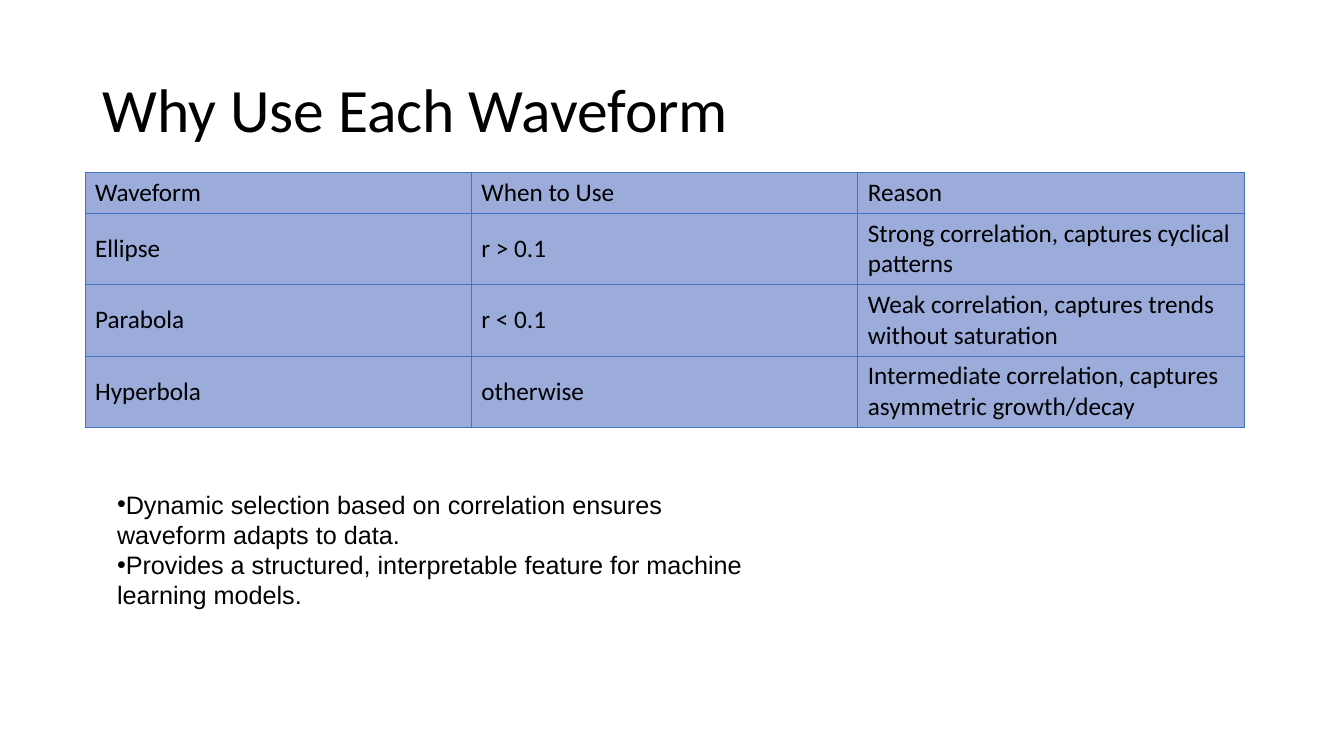
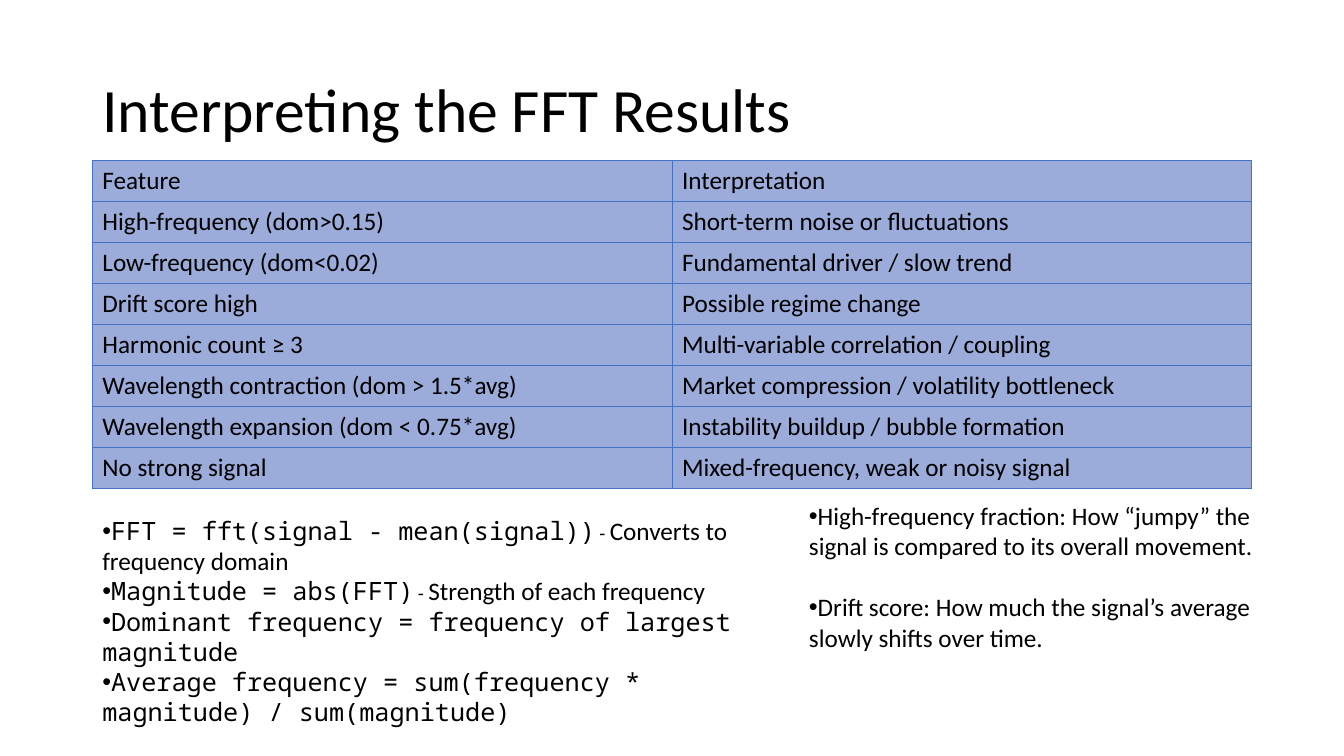
from lxml import etree
from pptx import Presentation
from pptx.dml.color import RGBColor
from pptx.enum.text import MSO_ANCHOR
from pptx.oxml.ns import qn
from pptx.util import Pt

PX = 9525  # EMU, 96 px to the inch
SLIDE_WIDTH, SLIDE_HEIGHT = 1280, 720
MIDDLE, TOP = MSO_ANCHOR.MIDDLE, MSO_ANCHOR.TOP

BLACK = RGBColor(0x00, 0x00, 0x00)
CELL_FILL = RGBColor(0x9B, 0xAB, 0xDA)
BORDER = RGBColor(0x44, 0x72, 0xC4)

SANS, ARIAL, MONO = "Calibri", "Arial", "Noto Sans Mono"
TITLE_SIZE, BODY_SIZE, DASH_SIZE = 44, 18, 14
LEFT, CONTENT_WIDTH = 88, 1104
ROW, TALL_ROW = 39, 68

WAVEFORMS = [
    ("Waveform", "When to Use", "Reason"),
    ("Ellipse", "r > 0.1", "Strong correlation, captures cyclical patterns"),
    ("Parabola", "r < 0.1", "Weak correlation, captures trends without saturation"),
    ("Hyperbola", "otherwise",
     "Intermediate correlation, captures asymmetric growth/decay"),
]
FEATURES = [
    ("Feature", "Interpretation"),
    ("High-frequency (dom>0.15)", "Short-term noise or fluctuations"),
    ("Low-frequency (dom<0.02)", "Fundamental driver / slow trend"),
    ("Drift score high", "Possible regime change"),
    ("Harmonic count ≥ 3", "Multi-variable correlation / coupling"),
    ("Wavelength contraction (dom > 1.5*avg)",
     "Market compression / volatility bottleneck"),
    ("Wavelength expansion (dom < 0.75*avg)",
     "Instability buildup / bubble formation"),
    ("No strong signal", "Mixed-frequency, weak or noisy signal"),
]
SELECTION_NOTES = [
    [("Dynamic selection based on correlation ensures waveform adapts to data.",
      ARIAL, BODY_SIZE)],
    [("Provides a structured, interpretable feature for machine learning models.",
      ARIAL, BODY_SIZE)],
]
DASH = (" - ", SANS, DASH_SIZE)
FORMULAS = [
    [("FFT = fft(signal - mean(signal))", MONO, BODY_SIZE), DASH,
     ("Converts to frequency domain", SANS, BODY_SIZE)],
    [("Magnitude = abs(FFT)", MONO, BODY_SIZE), DASH,
     ("Strength of each frequency", SANS, BODY_SIZE)],
    [("Dominant frequency = frequency of largest magnitude", MONO, BODY_SIZE)],
    [("Average frequency = sum(frequency * magnitude) / sum(magnitude)",
      MONO, BODY_SIZE)],
]
SCORE_NOTES = [
    [("High-frequency fraction: How “jumpy” the signal is compared to its "
      "overall movement.", SANS, BODY_SIZE)],
    [("Drift score: How much the signal’s average slowly shifts over time.",
      SANS, BODY_SIZE)],
]


def add_span(para, text, font, size):
    span = para.add_run()
    span.text = text
    span.font.name = font
    span.font.size = Pt(size)
    span.font.color.rgb = BLACK


def add_text_box(page, left, top, width, height, anchor=TOP):
    box = page.shapes.add_textbox(left * PX, top * PX, width * PX, height * PX)
    frame = box.text_frame
    frame.word_wrap = True
    frame.vertical_anchor = anchor
    return frame


def add_page(deck, title):
    page = deck.slides.add_slide(deck.slide_layouts[6])
    frame = add_text_box(page, LEFT, 38, CONTENT_WIDTH, 139, MIDDLE)
    para = frame.paragraphs[0]
    para.line_spacing = 0.9
    add_span(para, title, SANS, TITLE_SIZE)
    return page


def set_bullet(para):
    properties = para._p.get_or_add_pPr()
    etree.SubElement(properties, qn("a:buFont"), typeface=ARIAL)
    etree.SubElement(properties, qn("a:buChar"), char="•")


def add_bullets(page, left, top, width, height, items, gap=0):
    """Each item is a list of (text, font, size) spans; gap is in points."""
    frame = add_text_box(page, left, top, width, height)
    for index, spans in enumerate(items):
        para = frame.add_paragraph() if index else frame.paragraphs[0]
        set_bullet(para)
        if index and gap:
            para.space_before = Pt(gap)
        for span in spans:
            add_span(para, *span)


def set_borders(cell):
    properties = cell._tc.get_or_add_tcPr()
    for side in ("a:lnL", "a:lnR", "a:lnT", "a:lnB"):
        line = etree.SubElement(properties, qn(side), w=str(Pt(0.5)))
        fill = etree.SubElement(line, qn("a:solidFill"))
        etree.SubElement(fill, qn("a:srgbClr"), val=str(BORDER))


def add_grid(page, left, top, rows, heights):
    columns = len(rows[0])
    table = page.shapes.add_table(
        len(rows), columns, left * PX, top * PX,
        CONTENT_WIDTH * PX, sum(heights) * PX).table
    table.first_row = False
    table.horz_banding = False
    for column in table.columns:
        column.width = CONTENT_WIDTH * PX // columns
    for row, height, texts in zip(table.rows, heights, rows):
        row.height = height * PX
        for cell, text in zip(row.cells, texts):
            set_borders(cell)
            cell.fill.solid()
            cell.fill.fore_color.rgb = CELL_FILL
            cell.vertical_anchor = MIDDLE
            add_span(cell.text_frame.paragraphs[0], text, SANS, BODY_SIZE)


def add_waveform_page(deck):
    page = add_page(deck, "Why Use Each Waveform")
    add_grid(page, 81, 164, WAVEFORMS, [ROW] + [TALL_ROW] * 3)
    add_bullets(page, 102, 461, 640, 126, SELECTION_NOTES)


def add_results_page(deck):
    page = add_page(deck, "Interpreting the FFT Results")
    add_grid(page, LEFT, 153, FEATURES, [ROW] * len(FEATURES))
    add_bullets(page, LEFT, 486, 673, 178, FORMULAS)
    add_bullets(page, 761, 472, 499, 213, SCORE_NOTES, gap=22)


def main():
    deck = Presentation()
    deck.slide_width = SLIDE_WIDTH * PX
    deck.slide_height = SLIDE_HEIGHT * PX
    add_waveform_page(deck)
    add_results_page(deck)
    deck.save("out.pptx")


if __name__ == "__main__":
    main()
